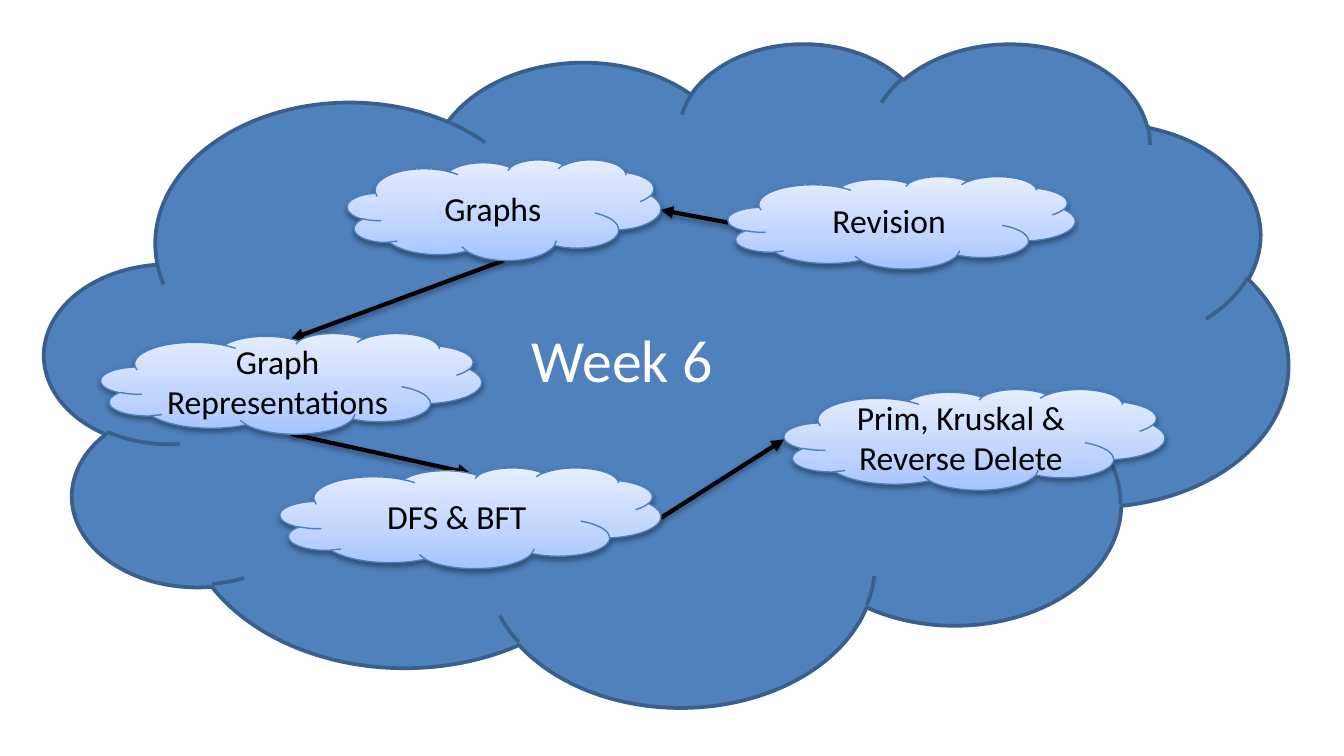
from lxml.etree import SubElement
from pptx import Presentation
from pptx.dml.color import RGBColor
from pptx.enum.shapes import MSO_CONNECTOR, MSO_SHAPE
from pptx.enum.text import MSO_ANCHOR, PP_ALIGN
from pptx.oxml.ns import qn
from pptx.util import Pt

COLORS = {
    "week": "4F81BD", "week_edge": "3A5F8C", "topic_edge": "4B7EBC",
    "topic_low": "A4C4FF", "topic_mid": "BFD4FF", "topic_high": "E6EEFF",
    "black": "000000", "white": "FFFFFF",
}
TOPIC_STOPS = [(0, "topic_low"), (35, "topic_mid"), (100, "topic_high")]
CLOUD_TOP = 0.057  # the cloud outline starts this share of its height lower

# Left, top, width, height in points
WEEK_BOX = (24, 22.5, 666, 355.5)
TOPICS = {
    "Graphs": (186, 85.5, 168, 54),
    "Revision": (390, 94.5, 186, 49.5),
    "Graph Representations": (54, 178.5, 204, 54),
    "DFS & BFT": (150, 250.5, 204, 54),
    "Prim, Kruskal &\nReverse Delete": (420, 208.5, 204, 54),
}
STEPS = [
    ("Graph Representations", "bottom", "DFS & BFT", "top"),
    ("DFS & BFT", "right", "Prim, Kruskal &\nReverse Delete", "left"),
    ("Revision", "left", "Graphs", "right"),
    ("Graphs", "bottom", "Graph Representations", "top"),
]


def rgb(name):
    return RGBColor.from_string(COLORS[name])


def add_color(parent, name):
    return SubElement(parent, qn("a:srgbClr"), val=COLORS[name])


def add_shadow(properties):
    effects = properties.find(qn("a:effectLst"))
    if effects is None:
        effects = SubElement(properties, qn("a:effectLst"))
    shadow = SubElement(effects, qn("a:outerShdw"), blurRad=str(Pt(3.1)),
                        dist=str(Pt(1.6)), dir="5400000", rotWithShape="0")
    SubElement(add_color(shadow, "black"), qn("a:alpha"), val="38000")


def write_text(frame, text, size, color):
    frame.word_wrap = True
    frame.vertical_anchor = MSO_ANCHOR.MIDDLE
    paragraph = frame.paragraphs[0]
    paragraph.text = text
    paragraph.alignment = PP_ALIGN.CENTER
    for run in paragraph.runs:
        run.font.name = "Calibri"
        run.font.size = Pt(size)
        run.font.color.rgb = rgb(color)


def add_cloud(slide, box, edge, edge_width):
    cloud = slide.shapes.add_shape(MSO_SHAPE.CLOUD, *map(Pt, box))
    cloud.shadow.inherit = False
    cloud.line.color.rgb = rgb(edge)
    cloud.line.width = Pt(edge_width)
    return cloud


def add_week(slide, box):
    week = add_cloud(slide, box, "week_edge", 2)
    week.fill.solid()
    week.fill.fore_color.rgb = rgb("week")
    write_text(week.text_frame, "Week 6", size=32, color="white")


def add_topic(slide, box, text):
    topic = add_cloud(slide, box, "topic_edge", 0.75)
    properties = topic._element.spPr
    # Three-stop gradient, darkest at the bottom
    topic.fill.gradient()
    topic.fill.gradient_angle = 90
    stops = properties.find(qn("a:gradFill")).find(qn("a:gsLst"))
    for stop in list(stops):
        stops.remove(stop)
    for position, color in TOPIC_STOPS:
        add_color(SubElement(stops, qn("a:gs"), pos=str(position * 1000)), color)
    add_shadow(properties)
    write_text(topic.text_frame, text, size=18, color="black")


def side_point(box, side):
    left, top, width, height = box
    return {
        "top": (left + width / 2, top + height * CLOUD_TOP),
        "left": (left, top + height / 2),
        "bottom": (left + width / 2, top + height),
        "right": (left + width, top + height / 2),
    }[side]


def add_step(slide, start, end):
    step = slide.shapes.add_connector(MSO_CONNECTOR.STRAIGHT,
                                      *map(Pt, start + end))
    step.line.color.rgb = rgb("black")
    step.line.width = Pt(2.25)
    properties = step._element.spPr
    SubElement(properties.find(qn("a:ln")), qn("a:tailEnd"), type="triangle")
    add_shadow(properties)


def add_week_map(slide, box):
    add_week(slide, box)
    # Arrows lie behind the topics
    for source, source_side, target, target_side in STEPS:
        add_step(slide, side_point(TOPICS[source], source_side),
                 side_point(TOPICS[target], target_side))
    for text, topic_box in TOPICS.items():
        add_topic(slide, topic_box, text)


def main():
    presentation = Presentation()
    presentation.slide_width = Pt(720)
    presentation.slide_height = Pt(405)
    slide = presentation.slides.add_slide(presentation.slide_layouts[6])
    add_week_map(slide, WEEK_BOX)
    presentation.save("out.pptx")


if __name__ == "__main__":
    main()
